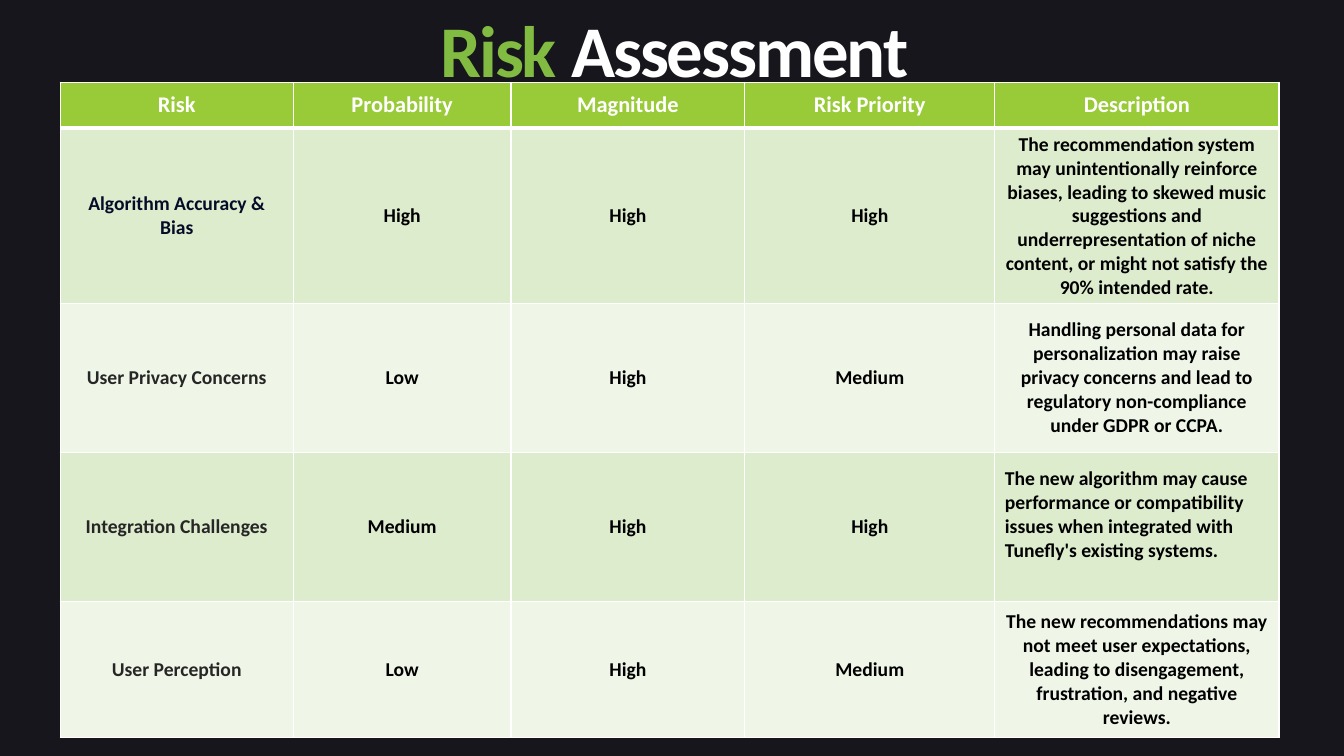
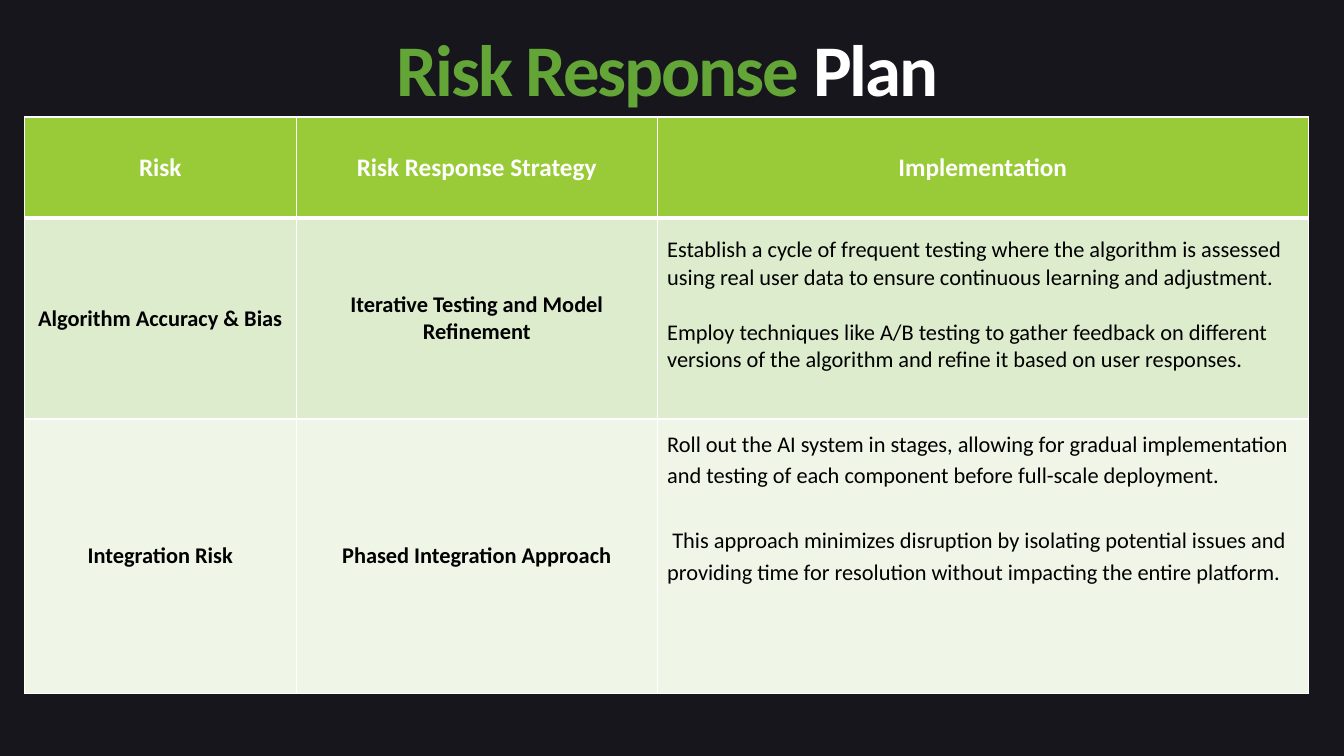
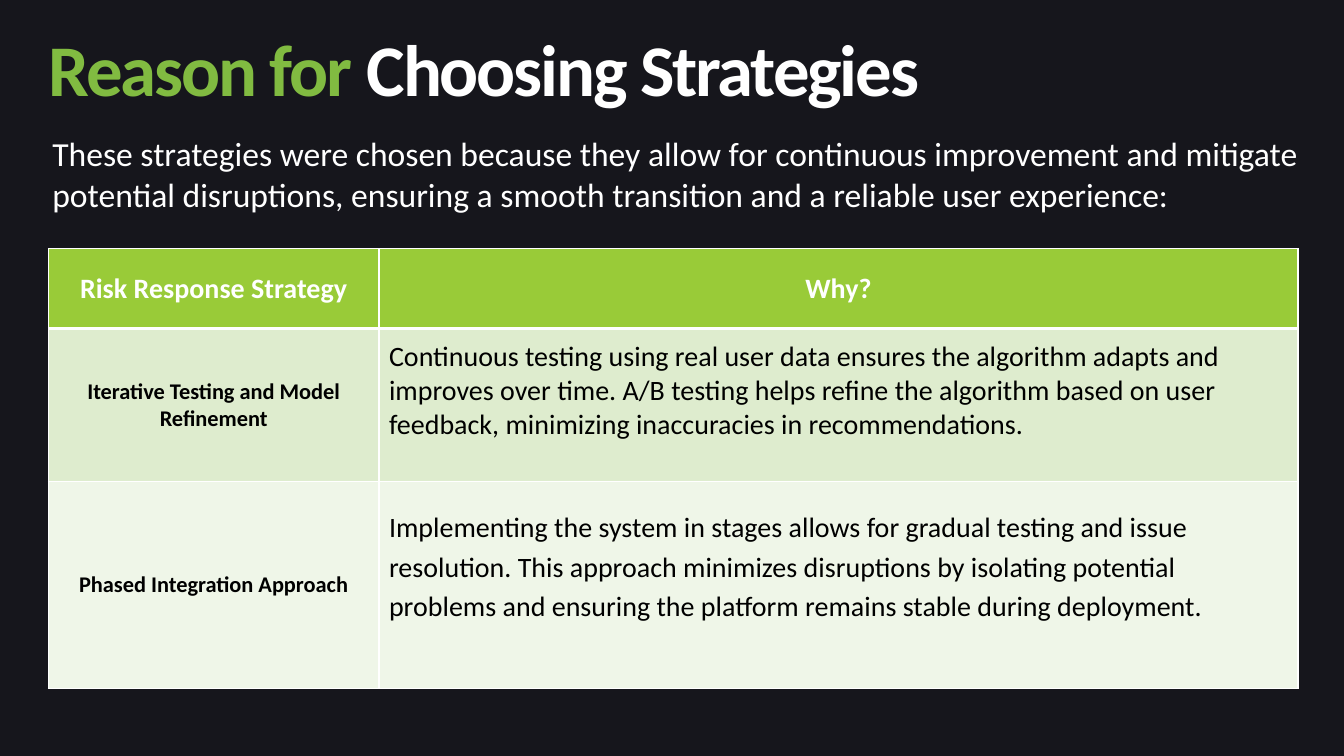
from dataclasses import dataclass

from lxml import etree
from pptx import Presentation
from pptx.dml.color import RGBColor
from pptx.enum.text import MSO_ANCHOR, PP_ALIGN
from pptx.oxml.ns import qn
from pptx.util import Cm, Pt

LEFT, CENTER = PP_ALIGN.LEFT, PP_ALIGN.CENTER
MIDDLE = MSO_ANCHOR.MIDDLE
FONT = "Calibri"
COLORS = {
    "background": "16161C",
    "white": "FFFFFF",
    "black": "000000",
    "title_light": "81BB41",
    "title_dark": "63A537",
    "header": "99CB38",
    "band_odd": "DEECCE",
    "band_even": "EFF6E8",
    "navy": "040C28",
    "charcoal": "262626",
}
TITLE_HEIGHT = 2.49
CELL_MARGIN = 0.13


@dataclass
class CellText:
    """Text of one table cell; bottom_space is in cm, gap in points."""
    paragraphs: tuple
    size: int = 16
    color: str = "black"
    bold: bool = True
    align: PP_ALIGN = CENTER
    line_spacing: float = 1.0
    gap: float = 0
    bottom_space: float = 0
    last_indent: float = 0


def rgb(name):
    return RGBColor.from_string(COLORS[name])


# Text
def add_run(paragraph, text, size, color, bold=False, spacing=None):
    run = paragraph.add_run()
    run.text = text
    run.font.name = FONT
    run.font.size = Pt(size)
    run.font.bold = bold
    run.font.color.rgb = rgb(color)
    if spacing is not None:
        run.font._element.set("spc", str(round(spacing * 100)))


def add_text_box(slide, left, top, width, height):
    shape = slide.shapes.add_textbox(Cm(left), Cm(top), Cm(width), Cm(height))
    shape.text_frame.word_wrap = True
    return shape.text_frame.paragraphs[0]


def add_title(slide, left, top, width, accent, rest, color="title_light"):
    paragraph = add_text_box(slide, left, top, width, TITLE_HEIGHT)
    for text, run_color in ((accent, color), (rest, "white")):
        add_run(paragraph, text, 52, run_color, bold=True, spacing=-1.5)


# Tables
def set_borders(cell, widths):
    properties = cell._tc.get_or_add_tcPr()
    for side, width in widths.items():
        line = etree.SubElement(properties, qn(f"a:ln{side}"), w=str(Pt(width)))
        fill = etree.SubElement(line, qn("a:solidFill"))
        etree.SubElement(fill, qn("a:srgbClr"), val=COLORS["white"])


def fill_cell(cell, content, color):
    cell.fill.solid()
    cell.fill.fore_color.rgb = rgb(color)
    cell.vertical_anchor = MIDDLE
    cell.margin_bottom = Cm(CELL_MARGIN + content.bottom_space)
    frame = cell.text_frame
    for index, text in enumerate(content.paragraphs):
        paragraph = frame.add_paragraph() if index else frame.paragraphs[0]
        paragraph.alignment = content.align
        paragraph.line_spacing = content.line_spacing
        if index:
            paragraph.space_before = Pt(content.gap)
        add_run(paragraph, text, content.size, content.color, content.bold)
    if content.last_indent:
        paragraph._p.get_or_add_pPr().set("indent", str(Cm(content.last_indent)))


def add_risk_table(slide, left, top, widths, heights, header_size, headers, rows):
    shape = slide.shapes.add_table(
        len(heights), len(widths), Cm(left), Cm(top), Cm(sum(widths)), Cm(sum(heights)))
    table = shape.table
    for column, width in zip(table.columns, widths):
        column.width = Cm(width)
    for row, height in zip(table.rows, heights):
        row.height = Cm(height)

    header_cells = [CellText((text,), header_size, "white") for text in headers]
    for row_index, contents in enumerate([header_cells, *rows]):
        if row_index == 0:
            color = "header"
        else:
            color = "band_odd" if row_index % 2 else "band_even"
        borders = {"L": 1, "R": 1, "T": 3 if row_index == 1 else 1,
                   "B": 3 if row_index == 0 else 1}
        for column_index, content in enumerate(contents):
            cell = table.cell(row_index, column_index)
            set_borders(cell, borders)
            fill_cell(cell, content, color)


def label(text):
    return CellText((text,))


def body(*paragraphs, **options):
    return CellText(paragraphs, bold=False, align=LEFT, **options)


def assessment_row(risk, ratings, description, color="charcoal", **options):
    return [CellText((risk,), 14, color),
            *(CellText((rating,), 14) for rating in ratings),
            CellText((description,), 14, **options)]


# Slides
def build_assessment(slide):
    add_title(slide, 10.85, 0, 12.73, "Risk ", "Assessment")
    add_risk_table(
        slide, 1.52, 2.08, [5.87, 5.49, 5.89, 6.3, 7.16],
        [1.14, 4.42, 3.76, 3.76, 3.43], 16,
        ["Risk", "Probability", "Magnitude", "Risk Priority", "Description"],
        [
            assessment_row(
                "Algorithm Accuracy & Bias", ("High", "High", "High"),
                "The recommendation system may unintentionally reinforce biases, "
                "leading to skewed music suggestions and underrepresentation of niche "
                "content, or might not satisfy the 90% intended rate.", color="navy"),
            assessment_row(
                "User Privacy Concerns", ("Low", "High", "Medium"),
                "Handling personal data for personalization may raise privacy concerns "
                "and lead to regulatory non-compliance under GDPR or CCPA."),
            assessment_row(
                "Integration Challenges", ("Medium", "High", "High"),
                "The new algorithm may cause performance or compatibility issues when "
                "integrated with Tunefly's existing systems.",
                align=LEFT, bottom_space=0.6),
            assessment_row(
                "User Perception", ("Low", "High", "Medium"),
                "The new recommendations may not meet user expectations, leading to "
                "disengagement, frustration, and negative reviews."),
        ])


def build_response_plan(slide):
    add_title(slide, 9.75, 0.48, 18.67, "Risk Response ", "Plan", "title_dark")
    add_risk_table(
        slide, 0.61, 2.95, [6.86, 9.09, 16.41], [2.55, 5.06, 6.91], 18,
        ["Risk", "Risk Response Strategy", "Implementation"],
        [
            [label("Algorithm Accuracy & Bias"),
             label("Iterative Testing and Model Refinement"),
             body("Establish a cycle of frequent testing where the algorithm is assessed "
                  "using real user data to ensure continuous learning and adjustment.",
                  "Employ techniques like A/B testing to gather feedback on different "
                  "versions of the algorithm and refine it based on user responses.",
                  gap=19.5, bottom_space=0.68)],
            [label("Integration Risk"),
             label("Phased Integration Approach"),
             body("Roll out the AI system in stages, allowing for gradual implementation "
                  "and testing of each component before full-scale deployment.",
                  "This approach minimizes disruption by isolating potential issues and "
                  "providing time for resolution without impacting the entire platform.",
                  line_spacing=1.15, gap=24, bottom_space=2.5, last_indent=0.13)],
        ])


def build_reasons(slide):
    add_title(slide, 0.97, 0.48, 29.69, "Reason for ", "Choosing Strategies")
    add_risk_table(
        slide, 1.22, 6.27, [8.33, 23.16], [2.01, 3.86, 5.21], 20,
        ["Risk Response Strategy", "Why?"],
        [
            [label("Iterative Testing and Model Refinement"),
             body("Continuous testing using real user data ensures the algorithm adapts "
                  "and improves over time. A/B testing helps refine the algorithm based "
                  "on user feedback, minimizing inaccuracies in recommendations.",
                  size=20, bottom_space=0.72)],
            [label("Phased Integration Approach"),
             body("Implementing the system in stages allows for gradual testing and issue "
                  "resolution. This approach minimizes disruptions by isolating potential "
                  "problems and ensuring the platform remains stable during deployment.",
                  size=20, line_spacing=1.15, bottom_space=1)],
        ])
    introduction = add_text_box(slide, 1.07, 3.23, 32.61, 2.31)
    add_run(introduction,
            "These strategies were chosen because they allow for continuous improvement "
            "and mitigate potential disruptions, ensuring a smooth transition and a "
            "reliable user experience:", 24, "white")


def main():
    presentation = Presentation()
    presentation.slide_width = Cm(33.87)
    presentation.slide_height = Cm(19.05)
    background = presentation.slide_master.background.fill
    background.solid()
    background.fore_color.rgb = rgb("background")
    blank_layout = presentation.slide_layouts[6]
    for build in (build_assessment, build_response_plan, build_reasons):
        build(presentation.slides.add_slide(blank_layout))
    presentation.save("out.pptx")


if __name__ == "__main__":
    main()
